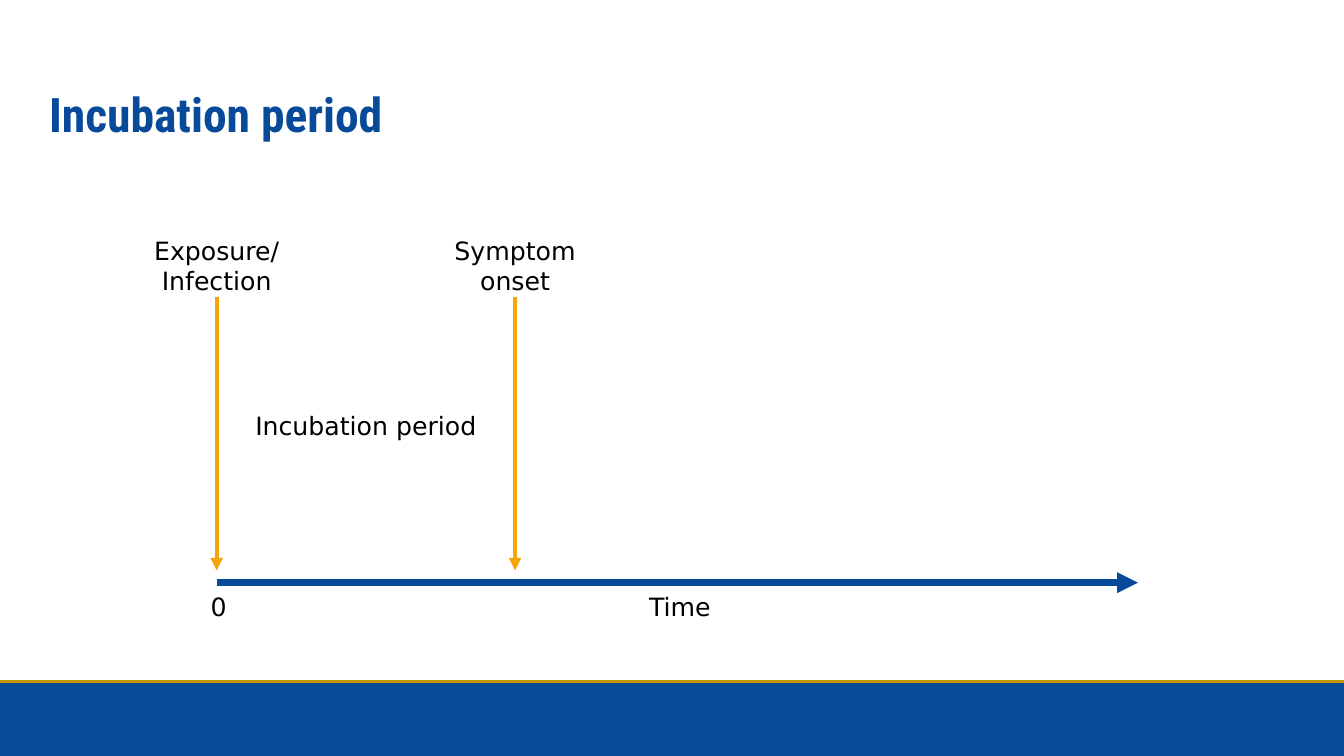
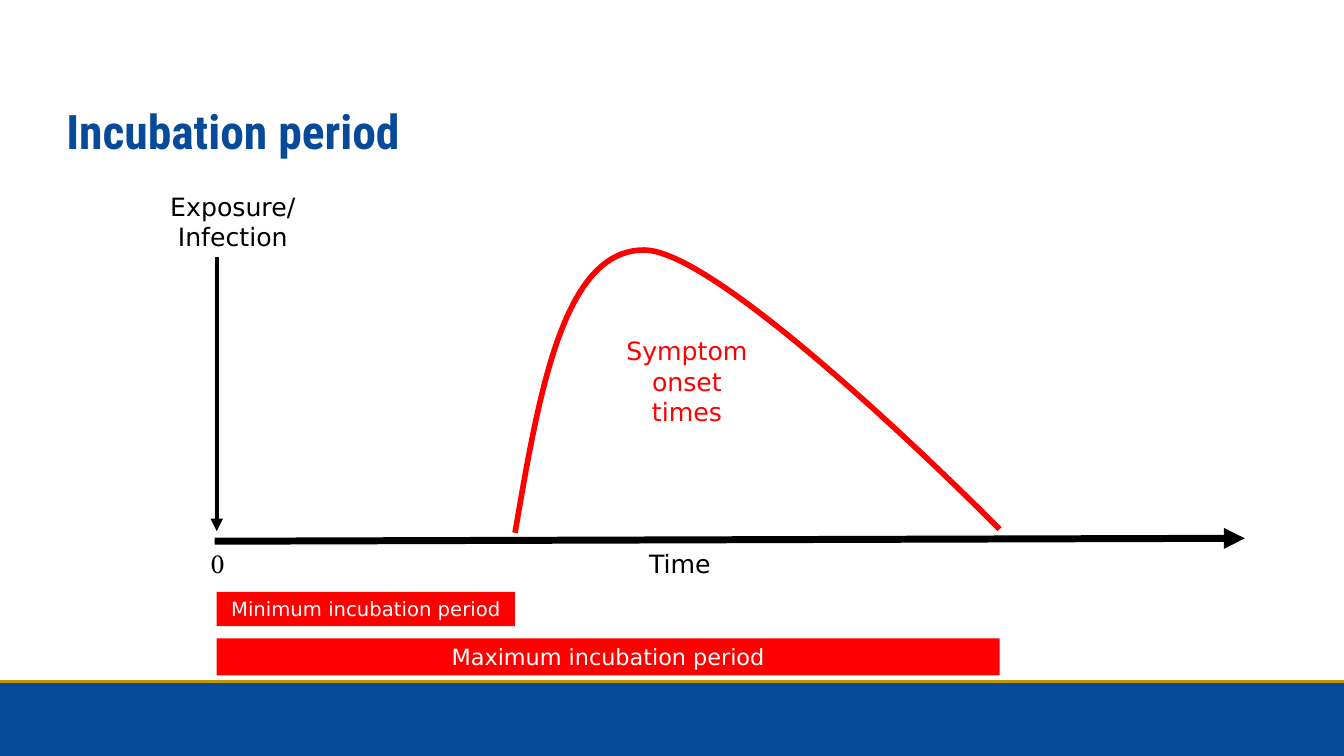
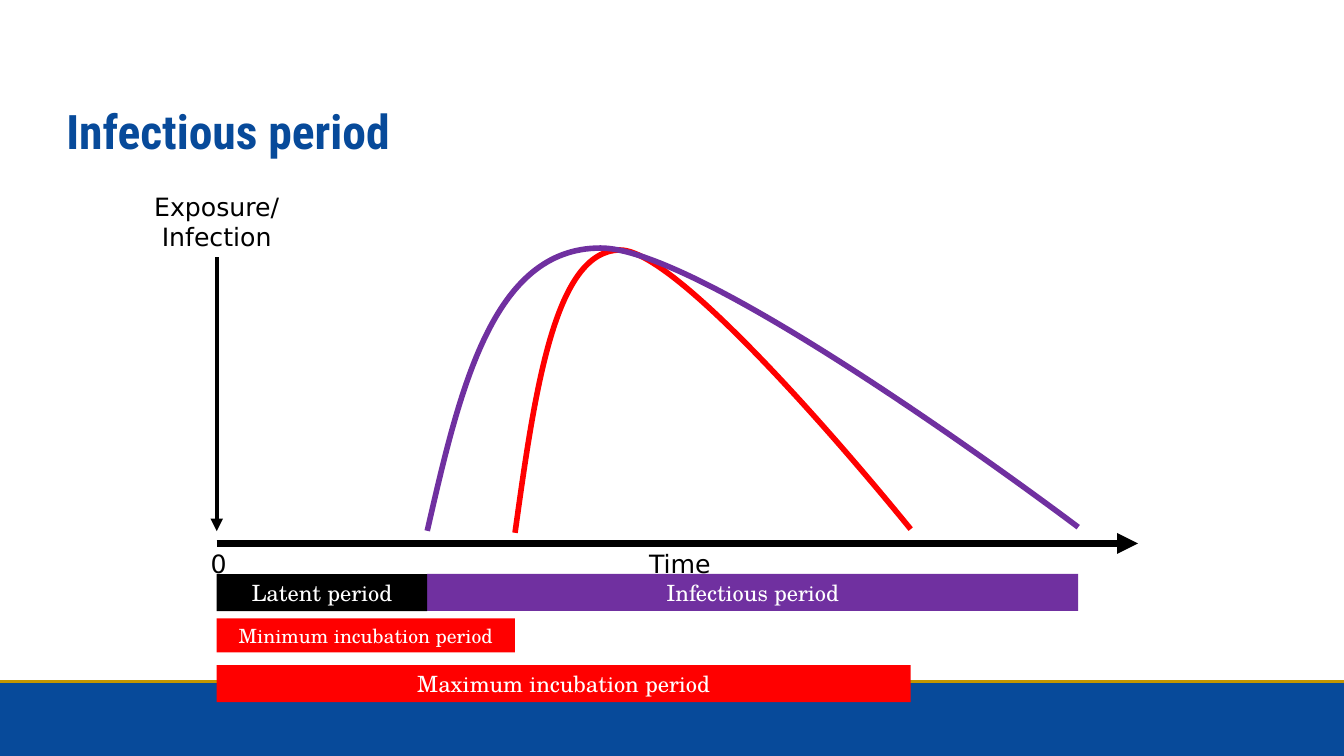
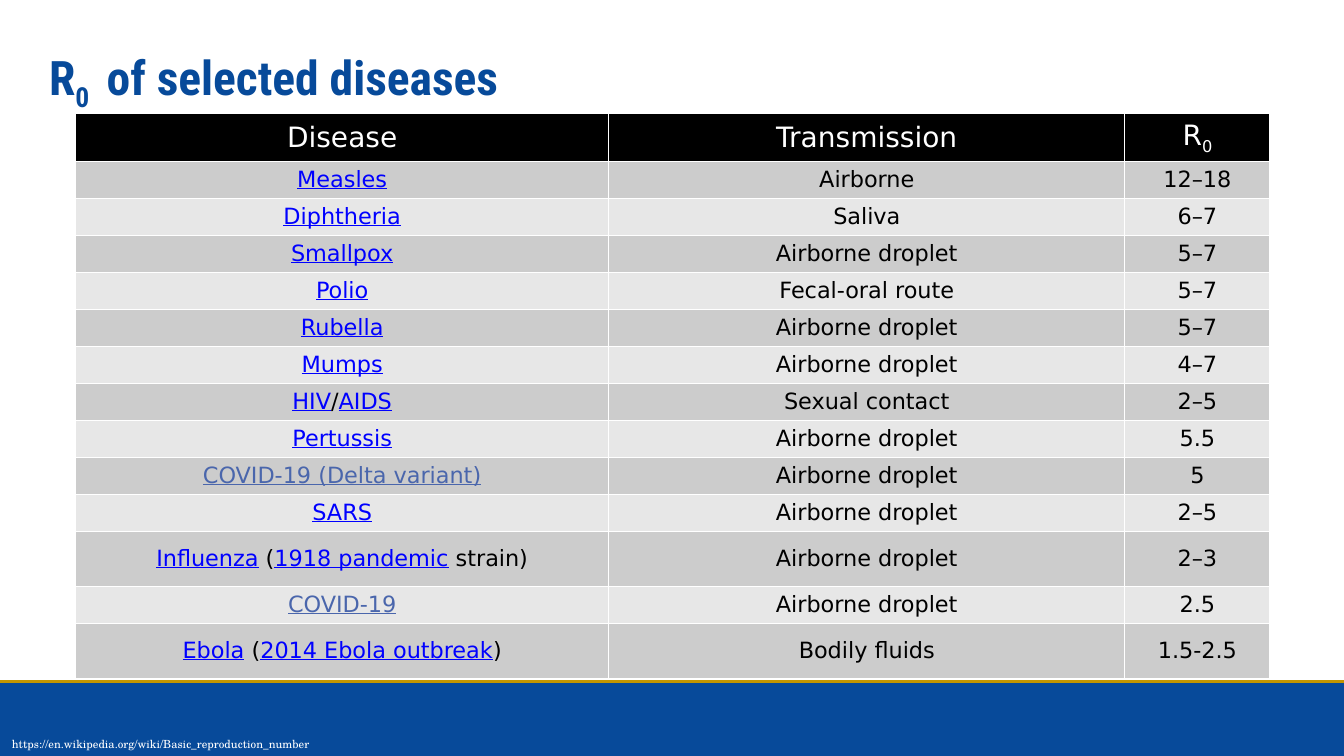
from dataclasses import dataclass

from lxml import etree
from pptx import Presentation
from pptx import util as u
from pptx.dml.color import RGBColor
from pptx.enum import shapes, text
from pptx.oxml import ns

Pt = u.Pt


@dataclass(frozen=True)
class Theme:
    blue: str = "074A9A"
    gold: str = "C39600"
    amber: str = "F5A508"
    red: str = "FF0000"
    purple: str = "7030A0"
    black: str = "000000"
    white: str = "FFFFFF"
    link: str = "0000FF"
    visited: str = "4A66AC"
    bands: tuple = ("CCCCCC", "E7E7E7")
    heading: str = "Roboto Condensed"
    sans: str = "DejaVu Sans"
    serif: str = "TeX Gyre Schola"
    title: int = 34
    header: int = 20
    label: int = 18
    body: int = 16
    small: int = 14
    source: int = 8


T = Theme()
WIDTH, HEIGHT = 960, 540
BAND_TOP = 486.7
ORIGIN = 154.8
ONSET = 367.9
LABEL_WIDTH = 121
LEFT, CENTER = text.PP_ALIGN.LEFT, text.PP_ALIGN.CENTER
TOP, MIDDLE = text.MSO_ANCHOR.TOP, text.MSO_ANCHOR.MIDDLE


def link(name, colour=T.link):
    return name, {"colour": colour, "underline": True}


def sub(digits):
    return digits, {"baseline": -25}


EXPOSURE = ["Exposure/", "Infection"]
MINIMUM, MAXIMUM = "Minimum incubation period", "Maximum incubation period"

DIAGRAMS = [
    {
        "title": "Incubation period", "title_at": (28, 28.8),
        "axis": ((ORIGIN, 416.2), (812.9, 416.2)), "axis_colour": T.blue,
        "ticks_top": 419, "zero_font": T.sans, "event_colour": T.amber,
        "events": [(EXPOSURE, ORIGIN, ORIGIN, 164.2, 212.4, 407.5),
                   (["Symptom", "onset"], ONSET, ONSET, 164.2, 212.4, 407.5)],
        "notes": [(["Incubation period"], (ORIGIN, 289.4, ONSET - ORIGIN, 29), T.black)],
        "curves": [], "bars": [], "bar_font": T.sans,
    },
    {
        "title": "Incubation period", "title_at": (40.3, 41),
        "axis": ((153.4, 386.6), (889.2, 384.5)), "axis_colour": T.black,
        "ticks_top": 388, "zero_font": T.serif, "event_colour": T.black,
        "events": [(EXPOSURE, 166.3, ORIGIN, 133.2, 183.6, 379.4)],
        "notes": [(["Symptom", "onset", "times"], (434.2, 236.2, 113, 73), T.red)],
        "curves": [((ONSET, 380.6), (460, 178.6), (714, 378), T.red)],
        "bars": [(MINIMUM, ORIGIN, ONSET, 422.8, 24.4, T.red, T.small),
                 (MAXIMUM, ORIGIN, 714, 456, 26.5, T.red, T.body)],
        "bar_font": T.sans,
    },
    {
        "title": "Infectious period", "title_at": (40.3, 41),
        "axis": ((ORIGIN, 388.2), (812.9, 388.2)), "axis_colour": T.black,
        "ticks_top": 388, "zero_font": T.sans, "event_colour": T.black,
        "events": [(EXPOSURE, ORIGIN, ORIGIN, 133.2, 183.6, 379.4)],
        "notes": [],
        "curves": [((ONSET, 380.6), (443, 178.6), (650.5, 378), T.red),
                   ((305.2, 379.2), (429, 177.2), (770.2, 376.6), T.purple)],
        "bars": [(MINIMUM, ORIGIN, ONSET, 441.6, 24.4, T.red, T.small),
                 (MAXIMUM, ORIGIN, 650.5, 475, 26.5, T.red, T.body),
                 ("Infectious period", 305.2, 770.2, 409.9, 26.5, T.purple, T.body),
                 ("Latent period", ORIGIN, 305.2, 410, 26.5, T.black, T.body)],
        "bar_font": T.serif,
    },
]

DROPLET = "Airborne droplet"
DISEASE_TITLE = ["R", sub("0 "), " of selected diseases"]
DISEASE_HEADER = [["Disease"], ["Transmission"], ["R", sub("0")]]
DISEASES = [
    ([link("Measles")], "Airborne", "12–18"),
    ([link("Diphtheria")], "Saliva", "6–7"),
    ([link("Smallpox")], DROPLET, "5–7"),
    ([link("Polio")], "Fecal-oral route", "5–7"),
    ([link("Rubella")], DROPLET, "5–7"),
    ([link("Mumps")], DROPLET, "4–7"),
    ([link("HIV"), "/", link("AIDS")], "Sexual contact", "2–5"),
    ([link("Pertussis")], DROPLET, "5.5"),
    ([link("COVID-19 (Delta variant)", T.visited)], DROPLET, "5"),
    ([link("SARS")], DROPLET, "2–5"),
    ([link("Influenza"), " (", link("1918 pandemic"), " strain)"], DROPLET, "2–3"),
    ([link("COVID-19", T.visited)], DROPLET, "2.5"),
    ([link("Ebola"), " (", link("2014 Ebola outbreak"), ")"], "Bodily fluids", "1.5-2.5"),
]
COLUMN_WIDTHS = [380.9, 368.6, 103.7]
HEADER_HEIGHT, ROW_HEIGHT, TALL_HEIGHT = 33, 25.7, 39.2
SOURCE = "https://en.wikipedia.org/wiki/Basic_reproduction_number"


def rgb(colour):
    return RGBColor.from_string(colour)


def add_xml(parent, tag, **attributes):
    return etree.SubElement(parent, ns.qn(tag), **attributes)


def write(frame, paragraphs, *, size=T.label, font=T.sans, colour=T.black,
          bold=False, align=LEFT, anchor=TOP):
    frame.word_wrap = True
    frame.vertical_anchor = anchor
    for index, pieces in enumerate(paragraphs):
        paragraph = frame.add_paragraph() if index else frame.paragraphs[0]
        paragraph.alignment = align
        for piece in [pieces] if isinstance(pieces, str) else pieces:
            words, extra = (piece, {}) if isinstance(piece, str) else piece
            run = paragraph.add_run()
            run.text = words
            run.font.size, run.font.name, run.font.bold = Pt(size), font, bold
            run.font.color.rgb = rgb(extra.get("colour", colour))
            if extra.get("underline"):
                run.font.underline = True
            if "baseline" in extra:
                run._r.get_or_add_rPr().set("baseline", str(extra["baseline"] * 1000))


def label(slide, paragraphs, box, **style):
    holder = slide.shapes.add_textbox(*map(Pt, box))
    write(holder.text_frame, paragraphs, **style)
    return holder


def block(slide, box, colour):
    rectangle = slide.shapes.add_shape(shapes.MSO_SHAPE.RECTANGLE, *map(Pt, box))
    rectangle.shadow.inherit = False
    rectangle.fill.solid()
    rectangle.fill.fore_color.rgb = rgb(colour)
    rectangle.line.fill.background()
    return rectangle


def stroke(slide, start, end, colour, width, arrow=True):
    line = slide.shapes.add_connector(shapes.MSO_CONNECTOR.STRAIGHT, *map(Pt, start + end))
    line.line.color.rgb = rgb(colour)
    line.line.width = Pt(width)
    if arrow:
        add_xml(line.line._get_or_add_ln(), "a:tailEnd", type="triangle")
    add_xml(line._element.spPr, "a:effectLst")
    return line


def curve(slide, start, peak, end, colour):
    rise = peak[0] - start[0]
    handle = 0.625 * rise
    points = [(start[0] + 0.3 * handle, (start[1] + peak[1]) / 2),
              (peak[0] - handle, peak[1]), peak,
              (peak[0] + handle, peak[1]), end, end]
    builder = slide.shapes.build_freeform(*map(Pt, start))
    builder.add_line_segments([tuple(map(Pt, point)) for point in points], close=False)
    outline = builder.convert_to_shape()
    outline.shadow.inherit = False
    outline.fill.background()
    outline.line.color.rgb = rgb(colour)
    outline.line.width = Pt(4)
    segments = list(outline._element.iter(ns.qn("a:lnTo")))
    track = segments[0].getparent()
    for first in range(0, len(segments), 3):
        bezier = add_xml(track, "a:cubicBezTo")
        for segment in segments[first:first + 3]:
            bezier.append(segment[0])
            track.remove(segment)


def new_slide(deck, title, title_at):
    slide = deck.slides.add_slide(deck.slide_layouts[6])
    band = block(slide, (0, BAND_TOP, WIDTH, HEIGHT - BAND_TOP), T.blue)
    band.line.color.rgb = rgb(T.blue)
    band.line.width = Pt(2)
    stroke(slide, (0, BAND_TOP), (WIDTH, BAND_TOP), T.gold, 2, arrow=False)
    label(slide, [title], (*title_at, 709, 104.4), size=T.title, font=T.heading,
          colour=T.blue, bold=True, anchor=MIDDLE)
    return slide


def draw_diagram(deck, diagram):
    slide = new_slide(deck, diagram["title"], diagram["title_at"])
    stroke(slide, *diagram["axis"], diagram["axis_colour"], 5)
    label(slide, ["0"], (143.3, diagram["ticks_top"], 32, 29), font=diagram["zero_font"])
    label(slide, ["Time"], (456.5, diagram["ticks_top"], 68, 29))
    for words, middle, arrow_x, top, bottom, tip in diagram["events"]:
        event = label(slide, words, (middle - LABEL_WIDTH / 2, top, LABEL_WIDTH, bottom - top),
                      align=CENTER)
        arrow = stroke(slide, (arrow_x, bottom), (arrow_x, tip), diagram["event_colour"], 3)
        if middle == arrow_x:
            arrow.begin_connect(event, 2)
    for words, box, colour in diagram["notes"]:
        label(slide, words, box, colour=colour, align=CENTER)
    for period in diagram["curves"]:
        curve(slide, *period)
    for words, start, end, top, height, colour, size in diagram["bars"]:
        bar = block(slide, (start, top, end - start, height), colour)
        write(bar.text_frame, [words], size=size, font=diagram["bar_font"],
              colour=T.white, align=CENTER, anchor=MIDDLE)


def fill_cell(cell, pieces, fill, **style):
    write(cell.text_frame, [pieces], align=CENTER, **style)
    cell.vertical_anchor = MIDDLE
    properties = cell._tc.get_or_add_tcPr()
    for side in ("a:lnL", "a:lnR", "a:lnT", "a:lnB"):
        border = add_xml(properties, side, w=str(Pt(1)))
        add_xml(add_xml(border, "a:solidFill"), "a:srgbClr", val=T.white)
    cell.fill.solid()
    cell.fill.fore_color.rgb = rgb(fill)


def draw_diseases(deck):
    slide = new_slide(deck, DISEASE_TITLE, (28, 5))
    heights = [HEADER_HEIGHT] + [TALL_HEIGHT if len(name) > 3 or name[-1] == ")" else ROW_HEIGHT
                                 for name, _, _ in DISEASES]
    table = slide.shapes.add_table(len(heights), len(COLUMN_WIDTHS), Pt(54), Pt(80.9),
                                   Pt(sum(COLUMN_WIDTHS)), Pt(sum(heights))).table
    for column, width in zip(table.columns, COLUMN_WIDTHS):
        column.width = Pt(width)
    for row, height in zip(table.rows, heights):
        row.height = Pt(height)
    for index, row in enumerate([DISEASE_HEADER] + DISEASES):
        style = {"size": T.body, "fill": T.bands[(index - 1) % 2]}
        if index == 0:
            style = {"size": T.header, "fill": T.black, "colour": T.white}
        for column, pieces in enumerate(row):
            fill_cell(table.cell(index, column), pieces, **style)
    label(slide, [SOURCE], (1.4, 523.4, 598, 17), size=T.source, font=T.serif, colour=T.white)


def main():
    deck = Presentation()
    deck.slide_width, deck.slide_height = Pt(WIDTH), Pt(HEIGHT)
    for diagram in DIAGRAMS:
        draw_diagram(deck, diagram)
    draw_diseases(deck)
    deck.save("out.pptx")


if __name__ == "__main__":
    main()
